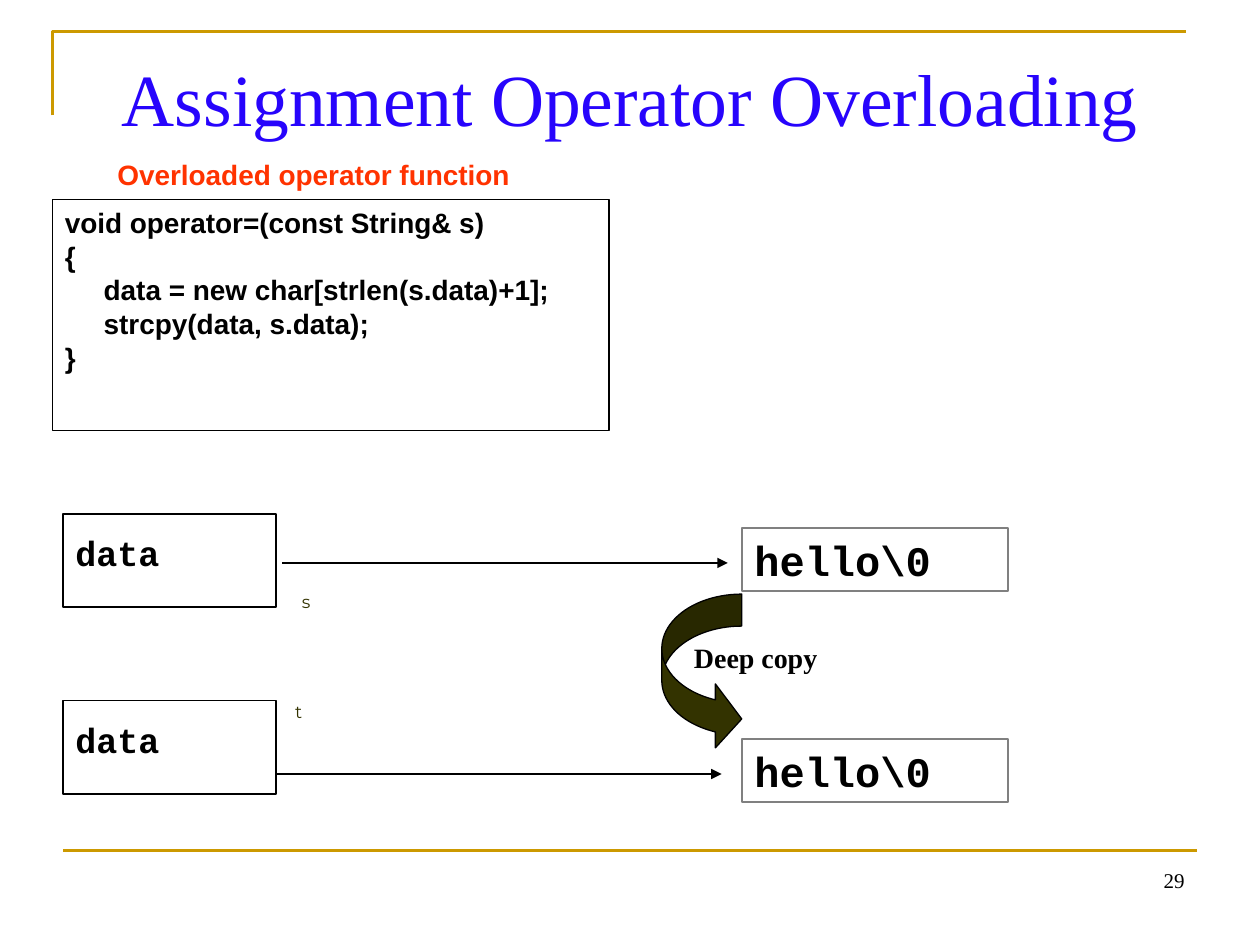
from lxml.etree import SubElement, Element
from pptx import Presentation
from pptx.dml.color import RGBColor
from pptx.enum.shapes import MSO_CONNECTOR as Connector, MSO_SHAPE as Shape
from pptx.enum.text import MSO_ANCHOR as Anchor, PP_ALIGN as Align
from pptx.oxml.ns import qn
from pptx.util import Pt

COLORS = {"gold": "CC9900", "title": "2704FC", "heading": "FF3300", "ink": "000000",
          "paper": "FFFFFF", "gray": "808080", "olive": "333300"}
SERIF, SANS, MONO, LABEL = "Times New Roman", "Arial", "Courier New", "Montserrat"

# Content
TITLE = "Assignment Operator Overloading"
HEADING = "Overloaded operator function"
CODE = [  # text, indent level
    ("void operator=(const String& s)", 0),
    ("{", 0),
    ("data = new char[strlen(s.data)+1];", 1),
    ("strcpy(data, s.data);", 1),
    ("}", 0),
]
CODE_INDENT = 22.2
OBJECTS = [  # one row per String object: places in points
    {"name": "s", "name_at": (165.5, 334, 19, 29), "member": "data", "box_top": 293.8,
     "value": "hello\\0", "value_top": 301.7, "arrow": (161.2, 415.9, 321.7)},
    {"name": "t", "name_at": (161.5, 397, 23, 23), "member": "data", "box_top": 400.3,
     "value": "hello\\0", "value_top": 422.2, "arrow": (157.8, 412.3, 442.3)},
]
COPY_NOTE = "Deep copy"
PAGE = "29"


def rgb(name):
    return RGBColor.from_string(COLORS[name])


def style(frame, size, font, color="ink", bold=False, align=Align.LEFT):
    for paragraph in frame.paragraphs:
        paragraph.alignment = align
        for run in paragraph.runs:
            run.font.size, run.font.name, run.font.bold = Pt(size), font, bold
            run.font.color.rgb = rgb(color)


def add_text(place, text, *look, wrap=True, **more):
    box = slide.shapes.add_textbox(*map(Pt, place))
    box.text_frame.word_wrap = wrap
    box.text_frame.text = text
    style(box.text_frame, *look, **more)
    return box


def add_box(kind, place, fill=None, line=None, width=1):
    box = slide.shapes.add_shape(kind, *map(Pt, place))
    box.shadow.inherit = False
    if fill:
        box.fill.solid()
        box.fill.fore_color.rgb = rgb(fill)
    else:
        box.fill.background()
    if line:
        box.line.color.rgb = rgb(line)
        box.line.width = Pt(width)
    else:
        box.line.fill.background()
    box.text_frame.word_wrap = True
    box.text_frame.vertical_anchor = Anchor.TOP
    return box


def add_line(x1, y1, x2, y2, color, width, arrow=False):
    line = slide.shapes.add_connector(Connector.STRAIGHT, *map(Pt, (x1, y1, x2, y2)))
    line.line.color.rgb = rgb(color)
    line.line.width = Pt(width)
    if arrow:
        SubElement(line.line._get_or_add_ln(), qn("a:tailEnd"), type="triangle", w="med", len="med")
    SubElement(line._element.spPr, qn("a:effectLst"))


def outline_text(run, color, width):
    ln = Element(qn("a:ln"), w=str(Pt(width)))
    SubElement(SubElement(ln, qn("a:solidFill")), qn("a:srgbClr"), val=COLORS[color])
    run.font._element.insert(0, ln)


prs = Presentation()
prs.slide_width, prs.slide_height = Pt(720), Pt(540)
slide = prs.slides.add_slide(prs.slide_layouts[5])

# Gold frame lines
builder = slide.shapes.build_freeform(Pt(30), Pt(66))
builder.add_line_segments([(Pt(30), Pt(18)), (Pt(678), Pt(18))], close=False)
corner = builder.convert_to_shape()
corner.shadow.inherit = False
corner.fill.background()
corner.line.color.rgb = rgb("gold")
corner.line.width = Pt(1.5)
add_line(36, 486, 684, 486, "gold", 1.5)

# Title and page number
title = slide.shapes.title
title.left, title.top, title.width, title.height = map(Pt, (36, 21.6, 648, 90))
title.text_frame.text = TITLE
title.text_frame.vertical_anchor = Anchor.TOP
title.text_frame.margin_top = Pt(8.5)
style(title.text_frame, 42, SERIF, "title", align=Align.CENTER)
add_text((516, 492, 168, 37.5), PAGE, 12, SERIF, align=Align.RIGHT)

# Code box with its heading
code = add_box(Shape.RECTANGLE, (30, 114, 318, 132), "paper", "ink", 0.75).text_frame
code.text = "\n".join(text for text, level in CODE)
style(code, 16, SANS, bold=True)
for paragraph, (text, level) in zip(code.paragraphs, CODE):
    paragraph._p.get_or_add_pPr().set("marL", str(Pt(level * CODE_INDENT)))
heading = add_text((60, 86.2, 258, 26.6), HEADING, 16, SANS, "heading",
                   bold=True, align=Align.JUSTIFY)
heading.text_frame.vertical_anchor = Anchor.MIDDLE

# Note beside the copy arrow
note = add_box(Shape.RECTANGLE, (389.5, 362.2, 91.5, 34.5), "paper").text_frame
note.text = COPY_NOTE
style(note, 16, SERIF, bold=True)

# Objects: member box, name, pointer and the value it points to
for item in OBJECTS:
    top = item["box_top"]
    add_box(Shape.RECTANGLE, (36, top, 121.8, 53.3), "paper", "ink")
    add_text((36, top + 6.5, 120, 31.5), item["member"], 20, MONO, bold=True)
    name = add_text(item["name_at"], item["name"], 10, LABEL, "olive", wrap=False)
    outline_text(name.text_frame.paragraphs[0].runs[0], "ink", 0.75)
    value = add_box(Shape.RECTANGLE, (424, item["value_top"], 152, 36), "paper", "gray").text_frame
    value.text = item["value"]
    style(value, 24, MONO, bold=True)
    start, end, y = item["arrow"]
    add_line(start, y, end, y, "ink", 1, arrow=True)

# Copy arrow from the first value to the second
copy_arrow = add_box(Shape.CURVED_RIGHT_ARROW, (378.2, 339.5, 45.7, 89.6), "olive", "ink", 0.75)
for index, ratio in enumerate((0.4, 0.8, 0.33)):
    copy_arrow.adjustments[index] = ratio

prs.save("out.pptx")
